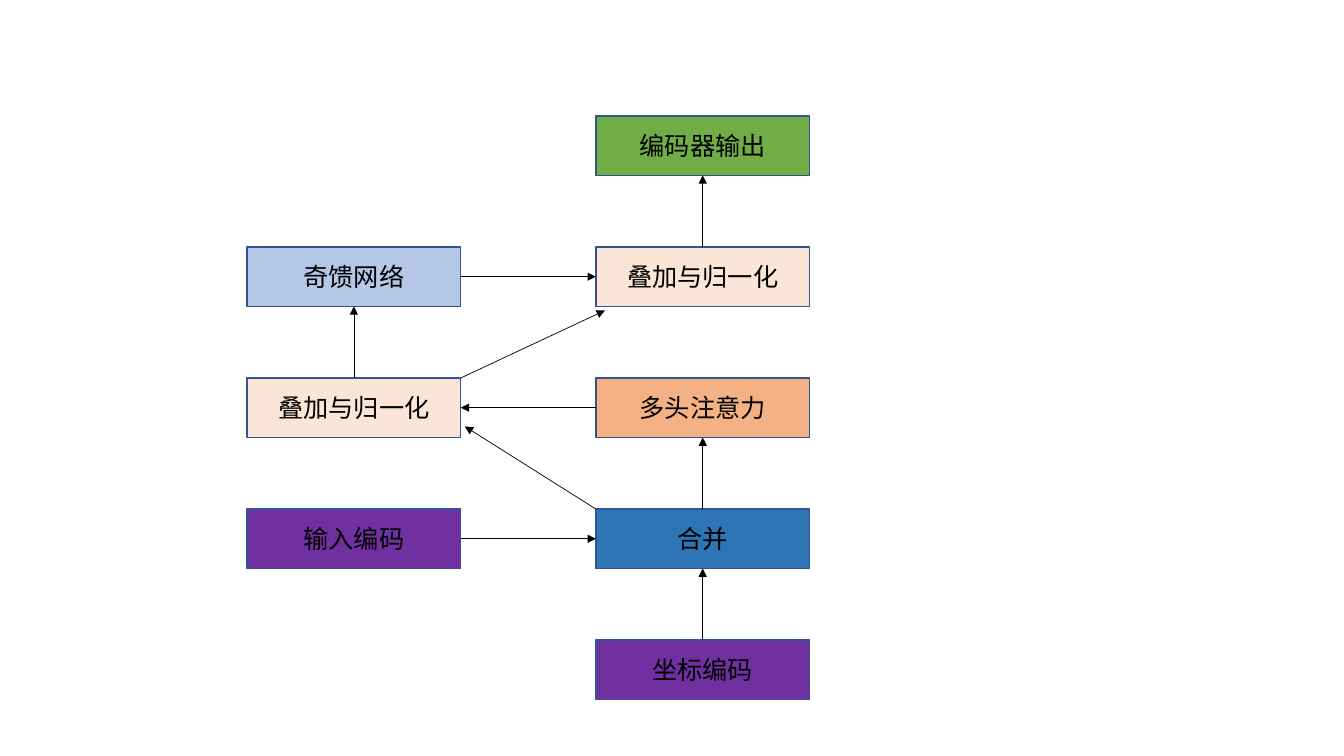
from pptx import Presentation
from pptx.dml.color import RGBColor
from pptx.enum.shapes import MSO_CONNECTOR as CONN, MSO_SHAPE as SHAPE
from pptx.enum.text import MSO_ANCHOR as ANCHOR, PP_ALIGN as ALIGN
from pptx.oxml.ns import qn
from pptx.util import Inches, Pt
from lxml.etree import SubElement

FONT = "Noto Sans CJK SC"
BOX_W, BOX_H = 2.12, 0.59
COL_STEP, ROW_STEP = 3.46, 1.3
TOP, LEFT, BOTTOM, RIGHT = range(4)  # connection sites of a rectangle

# name: (column, row, text, fill)
BOXES = {
    "output": (1, 0, "编码器输出", "70AD47"),
    "feed_forward": (0, 1, "奇馈网络", "B4C7E7"),
    "norm_2": (1, 1, "叠加与归一化", "FBE5D6"),
    "norm_1": (0, 2, "叠加与归一化", "FBE5D6"),
    "attention": (1, 2, "多头注意力", "F4B183"),
    "input": (0, 3, "输入编码", "7030A0"),
    "merge": (1, 3, "合并", "2E75B6"),
    "position": (1, 4, "坐标编码", "7030A0"),
}
FLOWS = [
    ("position", TOP, "merge", BOTTOM),
    ("input", RIGHT, "merge", LEFT),
    ("merge", TOP, "attention", BOTTOM),
    ("attention", LEFT, "norm_1", RIGHT),
    ("norm_1", TOP, "feed_forward", BOTTOM),
    ("feed_forward", RIGHT, "norm_2", LEFT),
    ("norm_2", TOP, "output", BOTTOM),
]


def rgb(value):
    return RGBColor.from_string(value)


def add_box(slide, x, y, text, fill):
    sp = slide.shapes.add_shape(SHAPE.RECTANGLE, Inches(x), Inches(y),
                                Inches(BOX_W), Inches(BOX_H))
    sp.shadow.inherit = False
    sp.fill.solid()
    sp.fill.fore_color.rgb = rgb(fill)
    sp.line.color.rgb = rgb("325491")
    sp.line.width = Pt(1)
    tf = sp.text_frame
    tf.word_wrap = True
    tf.vertical_anchor = ANCHOR.MIDDLE
    p = tf.paragraphs[0]
    p.alignment = ALIGN.CENTER
    r = p.add_run()
    r.text = text
    r.font.size = Pt(18)
    r.font.name = FONT
    r.font.color.rgb = rgb("000000")
    SubElement(r.font._element, qn("a:ea"), typeface=FONT)
    return sp


def add_arrow(slide, x1=0, y1=0, x2=0, y2=0):
    cx = slide.shapes.add_connector(CONN.STRAIGHT, x1, y1, x2, y2)
    cx.line.color.rgb = rgb("000000")
    cx.line.width = Pt(0.5)
    SubElement(cx.line._get_or_add_ln(), qn("a:tailEnd"), type="triangle")
    SubElement(cx._element.spPr, qn("a:effectLst"))
    return cx


def add_encoder(slide, left, top):
    """Draw the encoder flow chart with its grid starting at left, top."""
    boxes = {name: add_box(slide, left + col * COL_STEP, top + row * ROW_STEP, text, fill)
             for name, (col, row, text, fill) in BOXES.items()}
    for start, start_site, end, end_site in FLOWS:
        cx = add_arrow(slide)
        cx.begin_connect(boxes[start], start_site)
        cx.end_connect(boxes[end], end_site)

    # Residual paths run from a box corner to just beside the next corner
    norm_1, norm_2, merge = boxes["norm_1"], boxes["norm_2"], boxes["merge"]
    norm_1_right = norm_1.left + norm_1.width
    add_arrow(slide, norm_1_right, norm_1.top,
              norm_2.left + Inches(0.09), norm_2.top + norm_2.height + Inches(0.04))
    add_arrow(slide, merge.left, merge.top,
              norm_1_right + Inches(0.04), norm_1.top + norm_1.height - Inches(0.11))


def main():
    prs = Presentation()
    prs.slide_width, prs.slide_height = Inches(13.33), Inches(7.5)
    slide = prs.slides.add_slide(prs.slide_layouts[6])
    add_encoder(slide, 2.45, 1.15)
    prs.save("out.pptx")


if __name__ == "__main__":
    main()
